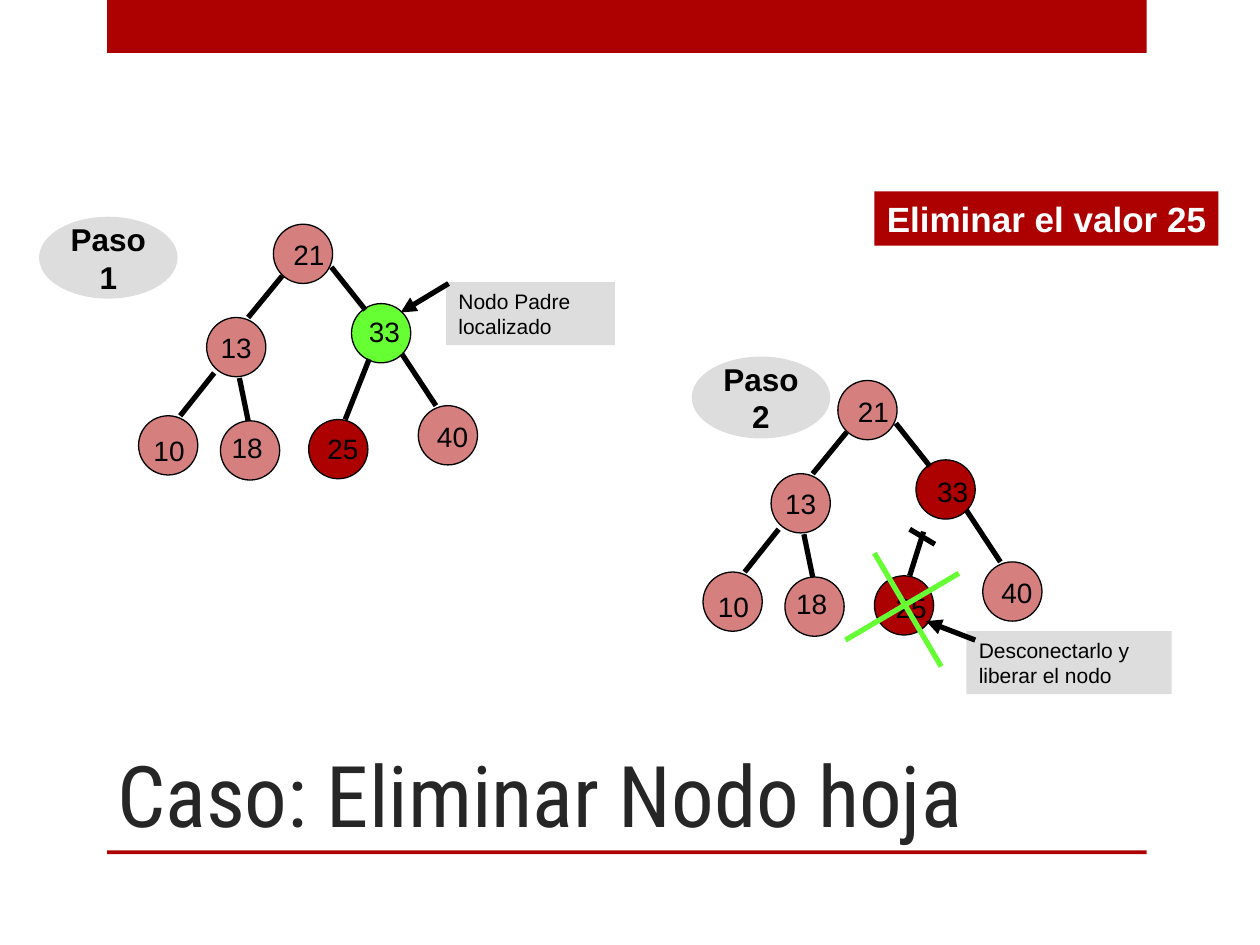
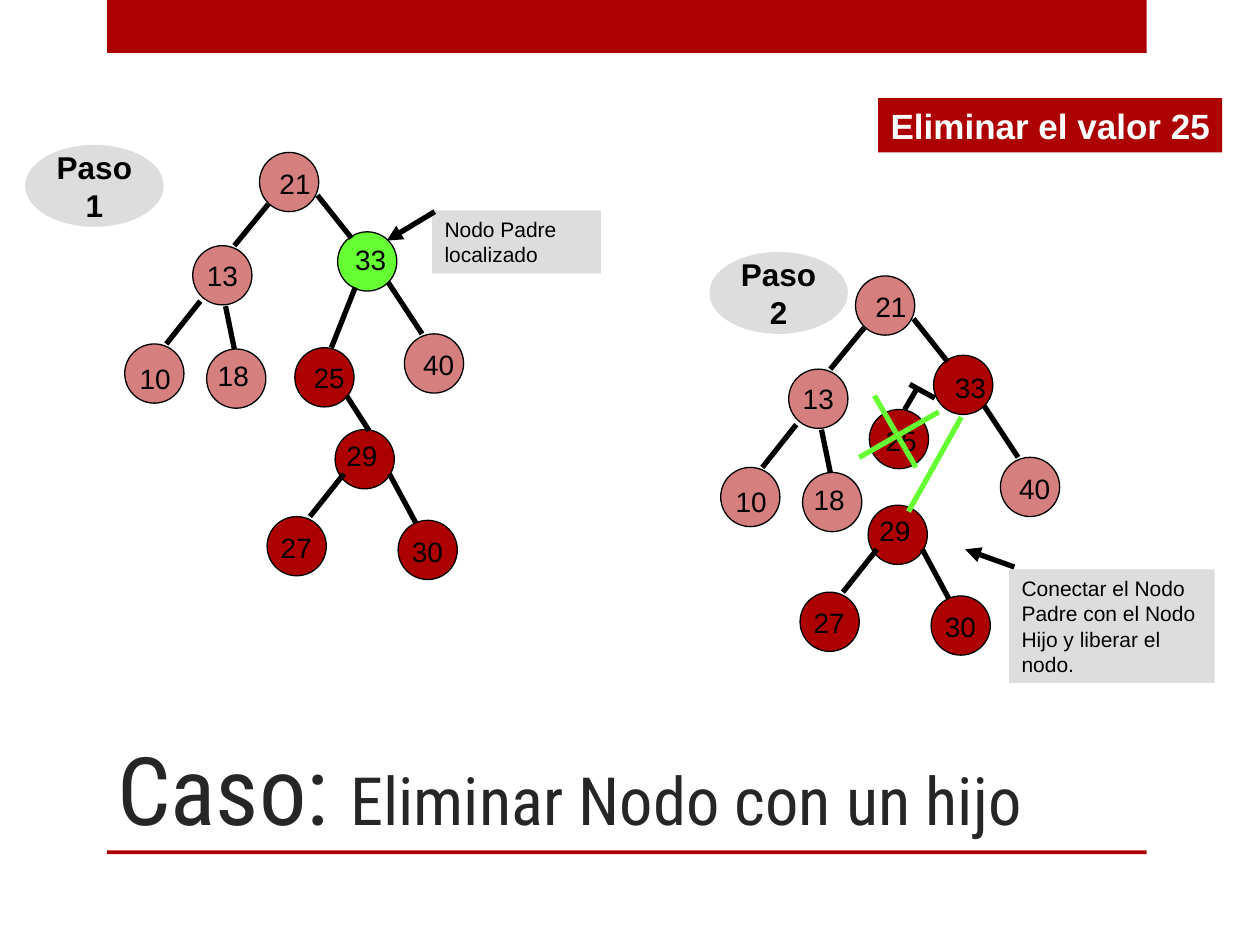
"""Build two slides on deleting nodes from a binary search tree."""
from dataclasses import dataclass

from lxml import etree
from pptx import Presentation
from pptx import util as u
from pptx.dml.color import RGBColor
from pptx.enum import shapes, text
from pptx.oxml import ns

Point = tuple[float, float]
Link = tuple[Point, Point]

HUES = {"red": "AD0101", "green": "66FF33", "gray": "DDDDDD",
        "black": "000000", "white": "FFFFFF", "title": "262626"}
SANS, HEAD = "Arial", "Roboto Condensed"
SIZE = 0.47
OVAL, RECT = shapes.MSO_SHAPE.OVAL, shapes.MSO_SHAPE.RECTANGLE
MID, LOW = text.MSO_ANCHOR.MIDDLE, text.MSO_ANCHOR.BOTTOM
LEFT, MAIN = text.PP_ALIGN.LEFT, text.PP_ALIGN.CENTER
GROW = text.MSO_AUTO_SIZE.SHAPE_TO_FIT_TEXT


@dataclass
class Node:
    value: str
    pos: Point
    shift: Point = (0, 0)
    hue: str = "red"
    pale: bool = False
    width: float = 0.54
    inner: bool = False


@dataclass
class Tree:
    root: Point
    nodes: list[Node]
    links: list[Link]


@dataclass
class Note:
    words: str
    pos: Point
    size: Point
    arrow: Link


@dataclass
class Case:
    title: list[tuple[str, float]]
    width: float
    banner: Point
    first: Tree
    second: Tree
    note: Note
    bar: Link
    cross: list[Link]
    join: list[Link]


def rgb(hue: str) -> RGBColor:
    """Return a named colour."""
    return RGBColor.from_string(HUES[hue])


def move(base: Point, step: Point) -> Point:
    """Shift a point by a step."""
    return base[0] + step[0], base[1] + step[1]


def write(frame, paras: list[list[tuple[str, float]]], hue: str = "black", font: str = SANS,
          bold: bool = False, align=LEFT, anchor=text.MSO_ANCHOR.TOP, wrap: bool = True) -> None:
    """Fill a text frame run by run."""
    frame.word_wrap = wrap
    frame.vertical_anchor = anchor
    for i, runs in enumerate(paras):
        para = frame.paragraphs[0] if i == 0 else frame.add_paragraph()
        para.alignment = align
        for words, size in runs:
            run = para.add_run()
            run.text = words
            run.font.name, run.font.size, run.font.bold = font, u.Pt(size), bold
            run.font.color.rgb = rgb(hue)


def shape(slide, kind, pos: Point, size: Point, hue: str, pale: bool = False, edge: bool = False):
    """Add a flat shape, half clear if pale."""
    item = slide.shapes.add_shape(kind, *map(u.Inches, pos + size))
    item.shadow.inherit = False
    item.fill.solid()
    item.fill.fore_color.rgb = rgb(hue)
    if pale:
        fill = item.element.spPr.find(ns.qn("a:solidFill"))
        etree.SubElement(fill[0], ns.qn("a:alpha"), val="50000")
    if edge:
        item.line.color.rgb = rgb("black")
        item.line.width = u.Pt(0.75)
    else:
        item.line.fill.background()
    return item


def line(slide, link: Link, hue: str = "black", arrow: bool = False) -> None:
    """Add a thick line, with an arrowhead at its end if asked."""
    start, end = link
    item = slide.shapes.add_connector(shapes.MSO_CONNECTOR.STRAIGHT, *map(u.Inches, start + end))
    item.line.color.rgb = rgb(hue)
    item.line.width = u.Pt(3)
    props = item.element.spPr
    if arrow:
        etree.SubElement(props.find(ns.qn("a:ln")), ns.qn("a:tailEnd"), type="triangle")
    etree.SubElement(props, ns.qn("a:effectLst"))


def draw(slide, tree: Tree) -> None:
    """Draw the circles, links and values of a tree."""
    for node in tree.nodes:
        disc = shape(slide, OVAL, move(tree.root, node.pos), (SIZE, SIZE),
                     node.hue, node.pale, True)
        if node.inner:
            write(disc.text_frame, [[(node.value, 16)]], align=MAIN, anchor=MID, wrap=False)
    for start, end in tree.links:
        line(slide, (move(tree.root, start), move(tree.root, end)))
    for node in tree.nodes:
        if not node.inner:
            spot = move(move(tree.root, node.pos), node.shift)
            box = slide.shapes.add_textbox(*map(u.Inches, spot + (node.width, 0.37)))
            write(box.text_frame, [[(node.value, 16)]])
            box.text_frame.auto_size = GROW


def remark(slide, note: Note) -> None:
    """Draw a note box and its arrow."""
    box = shape(slide, RECT, note.pos, note.size, "gray")
    write(box.text_frame, [[(note.words, 12)]])
    box.text_frame.auto_size = GROW
    line(slide, note.arrow, arrow=True)


def step(slide, num: str, pos: Point) -> None:
    """Draw a step badge."""
    badge = shape(slide, OVAL, pos, (1.1, 0.65), "gray")
    write(badge.text_frame, [[("Paso", 18)], [(num, 18)]], bold=True,
          align=MAIN, anchor=MID, wrap=False)


def grow(root: Point, parent: Node, doomed: Node, cut: Link) -> Tree:
    """Make the common tree with its own parent, doomed node and link."""
    nodes = [Node("21", (0, 0), (0.06, 0.06), pale=True, width=SIZE),
             Node("13", (-0.53, 0.74), pale=True, inner=True),
             parent,
             Node("10", (-1.07, 1.52), (0.02, 0.09), pale=True),
             Node("18", (-0.42, 1.56), (-0.01, 0.03), pale=True),
             doomed,
             Node("40", (1.15, 1.44), (0.05, 0.06), pale=True, width=SIZE)]
    links = [((0.07, 0.41), (-0.2, 0.74)), ((-0.47, 1.18), (-0.74, 1.52)),
             ((0.46, 0.34), (0.73, 0.68)), ((1.02, 1.03), (1.29, 1.44)),
             ((-0.27, 1.22), (-0.2, 1.56)), cut]
    return Tree(root, nodes, links)


def before(root: Point) -> Tree:
    """Make the tree of the first step."""
    return grow(root, Node("33", (0.62, 0.63), (0.04, 0.04), "green", width=0.6),
                Node("25", (0.28, 1.55), (0.05, 0.05)), ((0.76, 1.07), (0.57, 1.55)))


def after(root: Point, doomed: Node, cut: Link) -> Tree:
    """Make the tree of the second step."""
    return grow(root, Node("33", (0.62, 0.63), (0.07, 0.07), width=0.6), doomed, cut)


def branch(tree: Tree, pos: Point, *links: Link) -> Tree:
    """Hang the subtree of 29 on a tree."""
    tree.nodes += [Node("29", pos, (-0.01, 0.02)),
                   Node("27", move(pos, (-0.54, 0.69)), (0.01, 0.06)),
                   Node("30", move(pos, (0.5, 0.72)), (0.01, 0.06))]
    forks = [((0.07, 0.35), (-0.2, 0.69)), ((0.43, 0.35), (0.64, 0.74))]
    tree.links += [(move(pos, a), move(pos, b)) for a, b in forks] + list(links)
    return tree


def label(slide, pos: Point) -> None:
    """Draw the red banner with its text on one line."""
    tag = shape(slide, RECT, pos, (2.73, 0.43), "red")
    frame = tag.text_frame
    write(frame, [[("Eliminar el valor 25", 20)]], "white", bold=True)
    frame.margin_right = 0
    frame.auto_size = text.MSO_AUTO_SIZE.NONE


def build(deck, case: Case) -> None:
    """Add the slide of one case."""
    slide = deck.slides.add_slide(deck.slide_layouts[5])
    for top, high in ((0, 0.42), (6.75, 0.03)):
        shape(slide, RECT, (0.85, top), (8.25, high), "red")
    title = slide.shapes.title
    title.left, title.top, title.width, title.height = map(u.Inches, (0.83, 5, case.width, 1.75))
    write(title.text_frame, [case.title], "title", HEAD, anchor=LOW)
    title.text_frame.auto_size = text.MSO_AUTO_SIZE.NONE
    draw(slide, case.first)
    root = case.first.root
    remark(slide, Note("Nodo Padre localizado", move(root, (1.37, 0.46)), (1.34, 0.5),
                       (move(root, (1.39, 0.47)), move(root, (1.01, 0.7)))))
    draw(slide, case.second)
    remark(slide, case.note)
    step(slide, "1", move(root, (-1.86, -0.06)))
    step(slide, "2", move(case.second.root, (-1.16, -0.19)))
    label(slide, case.banner)
    line(slide, case.bar)
    for link in case.cross + case.join:
        line(slide, link, "green")


LEAF = Case(
    [("Caso: Eliminar Nodo hoja", 48.6)], 7.42, (6.94, 1.52),
    before((2.17, 1.78)),
    after((6.65, 3.02), Node("25", (0.29, 1.55), (0.07, 0.07)), ((0.68, 1.2), (0.57, 1.55))),
    Note("Desconectarlo y liberar el nodo", (7.67, 5.01), (1.63, 0.5),
         ((7.74, 5.08), (7.35, 4.93))),
    ((7.22, 4.2), (7.42, 4.32)),
    [((6.94, 4.39), (7.47, 5.29)), ((6.71, 5.08), (7.61, 4.55))], [])

CHILD = Case(
    [("Caso: ", 54), ("Eliminar Nodo con un hijo", 38)], 8.26, (6.97, 0.78),
    branch(before((2.06, 1.21)), (0.6, 2.2), ((0.69, 1.93), (0.87, 2.21))),
    branch(after((6.79, 2.19), Node("25", (0.11, 1.06), (0.03, 0.06)),
                 ((0.49, 0.89), (0.39, 1.06))), (0.1, 1.82)),
    Note("Conectar el Nodo Padre con el Nodo Hijo y liberar el nodo.", (8.01, 4.52),
         (1.63, 0.9), ((8.05, 4.5), (7.66, 4.36))),
    ((7.22, 3.05), (7.42, 3.16)),
    [((6.94, 3.14), (7.27, 3.71)), ((6.82, 3.63), (7.45, 3.27))],
    [((7.63, 3.31), (7.21, 4.06))])


def main() -> None:
    """Build and save the deck."""
    deck = Presentation()
    deck.slide_width, deck.slide_height = u.Inches(10), u.Inches(7.5)
    for case in (LEAF, CHILD):
        build(deck, case)
    deck.save("out.pptx")


main()
